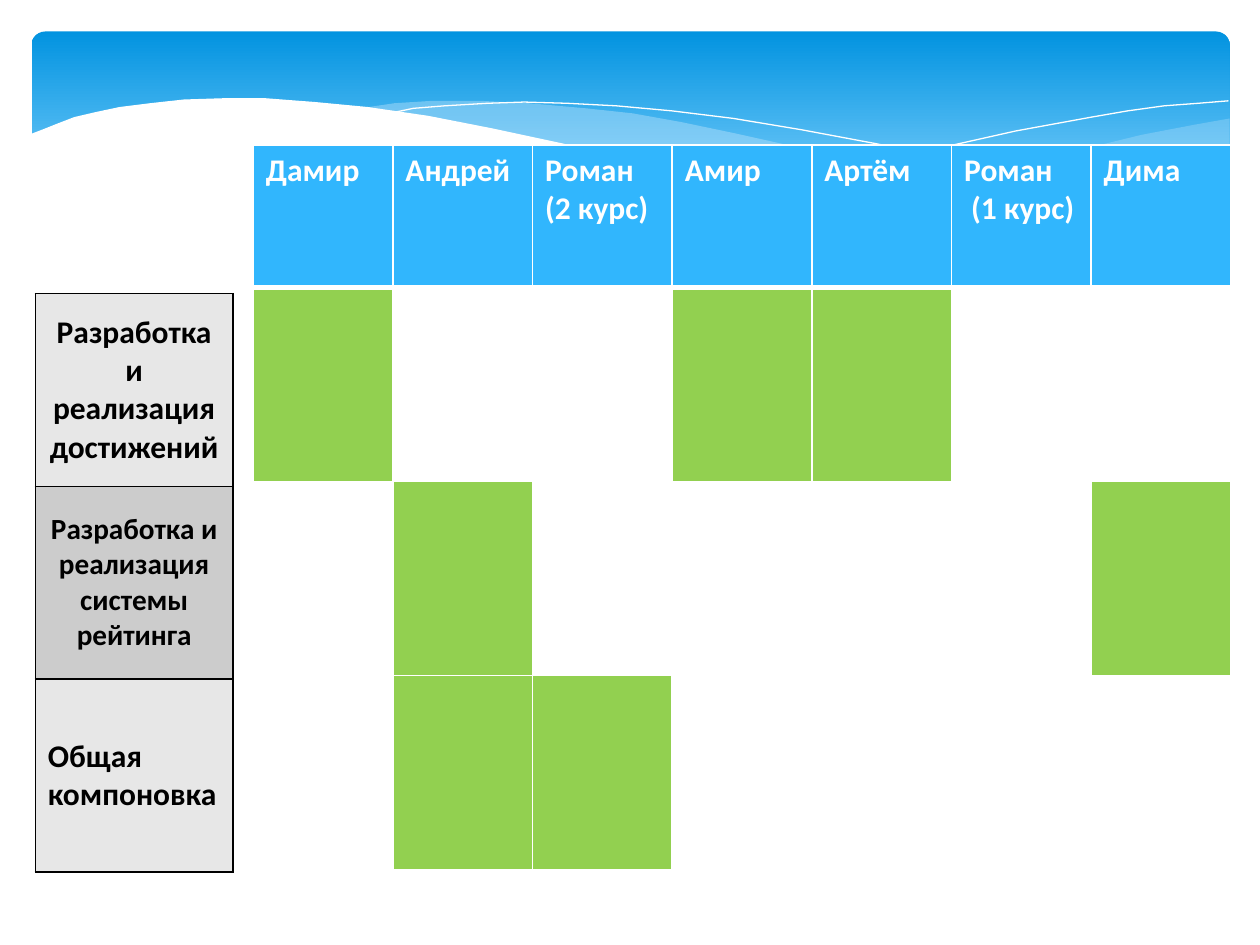
from dataclasses import dataclass

from lxml.etree import SubElement
from pptx import Presentation
from pptx.dml.color import RGBColor
from pptx.enum.shapes import MSO_SHAPE
from pptx.enum.text import MSO_ANCHOR, PP_ALIGN
from pptx.oxml import parse_xml
from pptx.oxml.ns import nsdecls, qn
from pptx.util import Inches, Pt


@dataclass(frozen=True)
class Theme:
    font: str = "Calibri"
    size: float = 18
    small: float = 16.7
    white: str = "FFFFFF"
    black: str = "000000"
    top: str = "0293E0"
    low: str = "83D3FE"
    wave: str = "C6E7FC"
    head: str = "31B6FD"
    done: str = "92D050"
    light: str = "E7E7E7"
    dark: str = "CCCCCC"


THEME = Theme()

# Wave outlines, as points in inches
RIGHT = [(9.76, 0.94), (9.48, 0.99), (9.06, 1.07), (8.61, 1.18), (8.05, 1.31),
         (7.53, 1.43), (7.06, 1.52), (6.61, 1.6), (7.05, 1.65), (7.45, 1.69),
         (7.92, 1.72), (8.35, 1.72), (8.72, 1.69), (9.05, 1.63), (9.35, 1.56),
         (9.63, 1.47), (9.76, 1.41)]
MID = [(8.93, 1.67), (8.37, 1.59), (7.75, 1.49), (7.06, 1.34), (6.29, 1.16),
       (5.84, 1.06), (5.41, 0.97), (5.02, 0.9), (4.65, 0.86), (4.2, 0.82),
       (3.8, 0.8), (3.44, 0.8), (3.13, 0.82), (2.86, 0.86), (3.23, 0.9),
       (3.62, 0.97), (4.04, 1.06), (4.49, 1.16), (5.3, 1.35), (6.01, 1.5),
       (6.65, 1.61), (7.22, 1.68), (7.73, 1.72), (8.18, 1.73), (8.57, 1.71)]
LONG = [(3.09, 0.9), (3.28, 0.86), (3.53, 0.84), (3.87, 0.82), (4.16, 0.81),
        (4.5, 0.82), (4.89, 0.84), (5.33, 0.88), (5.82, 0.94), (6.36, 1.03),
        (6.95, 1.14), (7.6, 1.28), (8.31, 1.45), (9.07, 1.66)]
SHORT = [(6.13, 1.51), (6.53, 1.41), (6.95, 1.3), (7.48, 1.17), (8.06, 1.04),
         (8.66, 0.93), (8.95, 0.88), (9.24, 0.84), (9.51, 0.82), (9.75, 0.8)]
FRONT = [(9.77, 1.41), (9.5, 1.51), (9.2, 1.59), (8.87, 1.66), (8.5, 1.7),
         (8.09, 1.71), (7.61, 1.7), (7.08, 1.65), (6.48, 1.56), (5.79, 1.44),
         (5.03, 1.28), (4.47, 1.14), (3.91, 1.02), (3.4, 0.92), (2.92, 0.85),
         (2.5, 0.81), (2.11, 0.78), (1.77, 0.78), (1.46, 0.79), (1.19, 0.82),
         (0.95, 0.85), (0.76, 0.89), (0.59, 0.93), (0.46, 0.98), (0.36, 1.02),
         (0.23, 1.07), (0.23, 2.24), (9.77, 2.24)]

# Table content
NAMES = ["Дамир", "Андрей", "Роман\v(2 курс)", "Амир", "Артём",
         "Роман\v (1 курс)", "Дима"]
WORK = [{0, 3, 4}, {1, 6}, {1, 2}]  # people on each task
TASKS = [
    ("Разработка и реализация достижений", THEME.light,
     {"align": PP_ALIGN.CENTER}),
    ("Разработка и реализация системы рейтинга", THEME.dark,
     {"align": PP_ALIGN.CENTER, "size": THEME.small}),
    ("Общая компоновка", THEME.light, {}),
]


def rgb(code):
    return RGBColor.from_string(code)


def write(frame, text, size=THEME.size, color=THEME.white, bold=True,
          align=PP_ALIGN.LEFT):
    frame.text = text
    for para in frame.paragraphs:
        para.alignment = align
        for run in para.runs:
            font = run.font
            font.name, font.size, font.bold = THEME.font, Pt(size), bold
            font.color.rgb = rgb(color)


def band(slide):
    shape = slide.shapes.add_shape(
        MSO_SHAPE.ROUNDED_RECTANGLE,
        Inches(0.25), Inches(0.25), Inches(9.51), Inches(1.56))
    shape.adjustments[0] = 0.07
    shape.shadow.inherit = False
    shape.line.fill.background()
    shape.fill.gradient()
    shape.fill.gradient_angle = 270
    stops = shape.fill.gradient_stops
    for stop, color, place in zip(stops, (THEME.top, THEME.low), (0, 0.9)):
        stop.color.rgb, stop.position = rgb(color), place


def wave(slide, points, fill=None, alpha=100, line=None):
    """Draw a filled outline, or an open line when there is no fill."""
    spots = [(Inches(x), Inches(y)) for x, y in points]
    pen = slide.shapes.build_freeform(*spots[0])
    pen.add_line_segments(spots[1:], close=fill is not None)
    shape = pen.convert_to_shape()
    shape.shadow.inherit = False
    if fill:
        shape.fill.solid()
        shape.fill.fore_color.rgb = rgb(fill)
        if alpha < 100:
            tone = shape.fill._xPr.find(".//" + qn("a:srgbClr"))
            SubElement(tone, qn("a:alpha"), val=str(alpha * 1000))
    else:
        shape.fill.background()
    if line:
        shape.line.color.rgb = rgb(line)
        shape.line.width = Pt(0)
    else:
        shape.line.fill.background()


def paint(cell, fill, edge, **widths):
    """Fill a cell and rule its sides; widths are points by side letter."""
    cell.fill.solid()
    cell.fill.fore_color.rgb = rgb(fill)
    props = cell._tc.get_or_add_tcPr()
    for spot, side in enumerate("LRTB"):
        width = Pt(widths.get(side, 1))
        props.insert(spot, parse_xml(
            f'<a:ln{side} {nsdecls("a")} w="{width}"><a:solidFill>'
            f'<a:srgbClr val="{edge}"/></a:solidFill></a:ln{side}>'))


def grid(slide, left, top, width, heights, cols):
    table = slide.shapes.add_table(
        len(heights), cols, Inches(left), Inches(top),
        Inches(width * cols), Inches(sum(heights))).table
    table.horz_banding = False
    for col in table.columns:
        col.width = Inches(width)
    for row, height in zip(table.rows, heights):
        row.height = Inches(height)
    return table


def plan(slide):
    table = grid(slide, 2.01, 1.15, 7.76 / 7, [1.13] + [1.54] * 3, len(NAMES))
    for col, name in enumerate(NAMES):
        cell = table.cell(0, col)
        write(cell.text_frame, name)
        paint(cell, THEME.head, THEME.white, B=3)
        for row, crew in enumerate(WORK, 1):
            fill = THEME.done if col in crew else THEME.white
            top = 3 if row == 1 else 1
            paint(table.cell(row, col), fill, THEME.white, T=top)


def tasks(slide):
    table = grid(slide, 0.28, 2.33, 1.57, [1.53] * 3, 1)
    table.first_row = False
    for row, (text, fill, style) in enumerate(TASKS):
        cell = table.cell(row, 0)
        write(cell.text_frame, text, color=THEME.black, **style)
        cell.vertical_anchor = MSO_ANCHOR.MIDDLE
        paint(cell, fill, THEME.black)


def main():
    deck = Presentation()
    deck.slide_width, deck.slide_height = Inches(10), Inches(7.5)
    slide = deck.slides.add_slide(deck.slide_layouts[6])

    # Header band and its waves
    band(slide)
    wave(slide, RIGHT, fill=THEME.wave, alpha=29)
    wave(slide, MID, fill=THEME.wave, alpha=40)
    wave(slide, LONG, line=THEME.white)
    wave(slide, SHORT, line=THEME.white)
    wave(slide, FRONT, fill=THEME.white)

    # People by task, then task names
    plan(slide)
    tasks(slide)
    deck.save("out.pptx")


if __name__ == "__main__":
    main()
